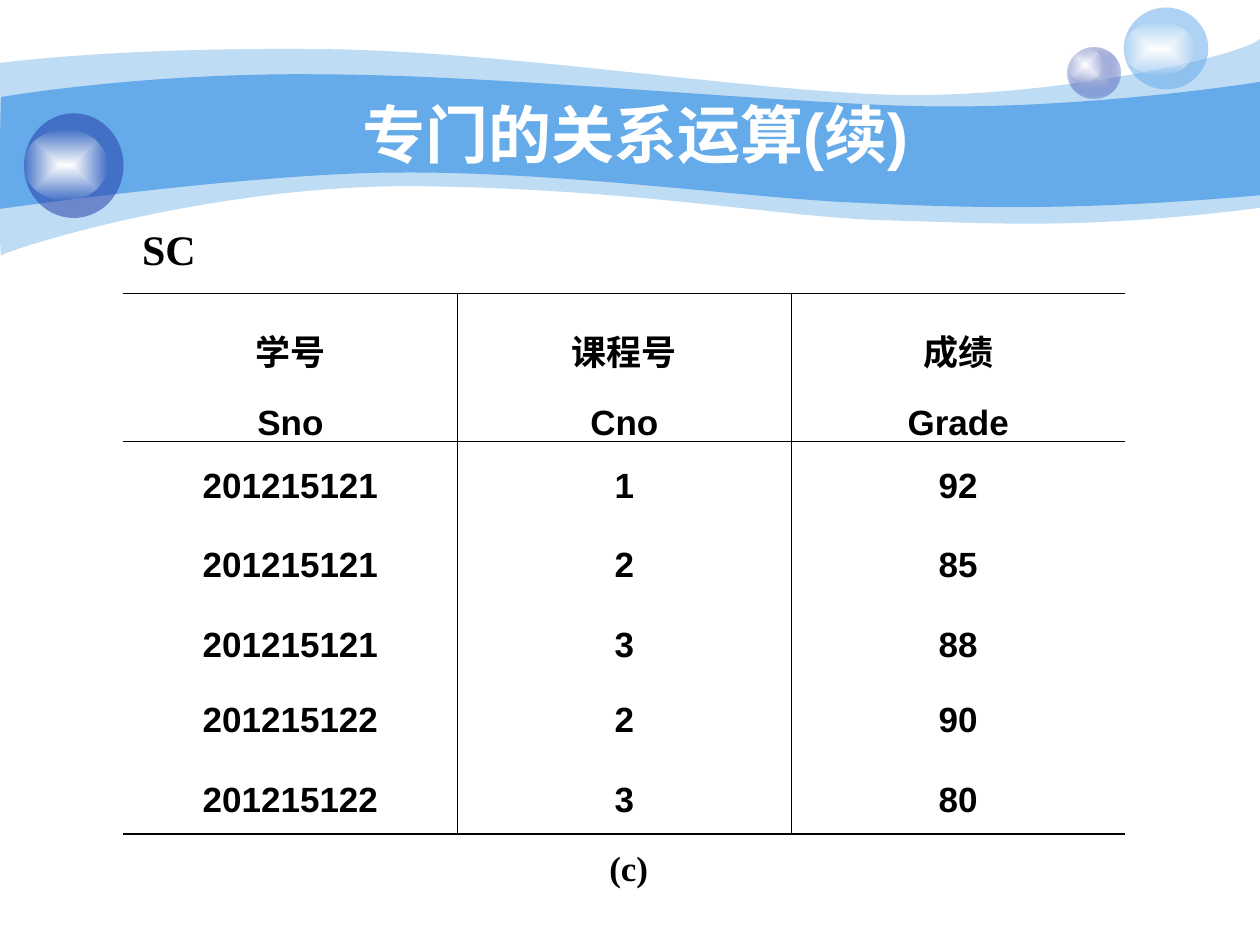
from dataclasses import dataclass

from lxml import etree
from pptx import Presentation
from pptx import util as u
from pptx.dml.color import RGBColor
from pptx.enum import shapes, text
from pptx.oxml import ns


@dataclass(frozen=True)
class Theme:
    sky: str = "65AAE9"
    navy: str = "233DA9"
    haze: str = "C7CEE9"
    white: str = "FFFFFF"
    ink: str = "000000"
    sans: str = "Arial"
    serif: str = "Times New Roman"
    title: int = 36
    label: int = 24
    body: int = 20
    thin: float = 0.45
    thick: float = 1.08


THEME = Theme()
WIDTH, HEIGHT = 10, 7.5
TITLE = "专门的关系运算(续)"
HEADERS = [("学号", "Sno"), ("课程号", "Cno"), ("成绩", "Grade")]
RECORDS = [
    ("201215121", "1", "92"),
    ("201215121", "2", "85"),
    ("201215121", "3", "88"),
    ("201215122", "2", "90"),
    ("201215122", "3", "80"),
]
ROW_HEIGHTS = [1.17, 0.63, 0.63, 0.6, 0.63, 0.63]
TABLE_BOX = (0.98, 2.33, 7.95, sum(ROW_HEIGHTS))

WAVES = [
    (41, [
        (0, 0.5),
        (0.24, 0.47, 1.07, 0.38, 2.47, 0.39),
        (3.86, 0.39, 5.75, 0.7, 6.99, 0.75),
        (8.22, 0.8, 9.8, 0.47, 10, 0.31),
        (10, 1.65),
        (8.58, 1.83, 7.87, 1.77, 7.05, 1.75),
        (6.22, 1.73, 5.15, 1.51, 3.43, 1.48),
        (1.72, 1.44, 0.04, 1.99, 0.01, 2.03),
        (-0.01, 2.08, 0, 0.75, 0, 0.5),
    ]),
    (100, [
        (0.01, 0.77),
        (0.02, 0.77, 1.1, 0.58, 2.48, 0.59),
        (3.86, 0.59, 5.95, 0.8, 7.18, 0.84),
        (8.41, 0.88, 9.76, 0.69, 10, 0.65),
        (10, 1.55),
        (8.53, 1.68, 7.65, 1.65, 6.82, 1.61),
        (5.99, 1.58, 4.47, 1.36, 3.17, 1.37),
        (2.03, 1.37, -0.02, 1.66, -0.01, 1.66),
        (0, 1.66, 0, 0.77, 0.01, 0.77),
    ]),
]
SHINE = [(0, THEME.white, 100), (100, THEME.white, 0)]
BUBBLES = [
    ((8.47, 0.38, 0.42, 0.4), [(0, THEME.haze, 100), (100, THEME.navy, 31)]),
    ((8.47, 0.38, 0.28, 0.27), SHINE),
    ((8.92, 0.06, 0.67, 0.65), [(0, THEME.sky, 53)]),
    ((8.92, 0.17, 0.56, 0.43), SHINE),
    ((0.19, 0.9, 0.79, 0.83), [(0, THEME.navy, 53)]),
    ((0.19, 1.03, 0.66, 0.56), SHINE),
]


def inches(values):
    return [u.Inches(value) for value in values]


def child(parent, tag, **attributes):
    return etree.SubElement(parent, ns.qn(tag), {k: str(v) for k, v in attributes.items()})


def add_color(parent, color, opacity=100):
    node = child(parent, "a:srgbClr", val=color)
    if opacity < 100:
        child(node, "a:alpha", val=opacity * 1000)


def paint(shape, stops):
    shape.shadow.inherit = False
    shape.line.fill.background()
    if len(stops) == 1:
        shape.fill.solid()
        fill = shape.element.spPr.find(ns.qn("a:solidFill"))
        add_color(fill, *stops[0][1:])
        return
    shape.fill.gradient()
    fill = shape.element.spPr.find(ns.qn("a:gradFill"))
    for node in list(fill):
        fill.remove(node)
    stop_list = child(fill, "a:gsLst")
    for position, color, opacity in stops:
        add_color(child(stop_list, "a:gs", pos=position * 1000), color, opacity)
    center = child(fill, "a:path", path="rect")
    child(center, "a:fillToRect", l=50000, t=50000, r=50000, b=50000)


def add_wave(page, opacity, segments):
    points = [tuple(inches(segment[i:i + 2]))
              for segment in segments for i in range(0, len(segment), 2)]
    builder = page.shapes.build_freeform(*points[0], scale=1.0)
    builder.add_line_segments(points[1:], close=True)
    wave = builder.convert_to_shape()
    lines = iter(list(wave.element.iter(ns.qn("a:lnTo"))))
    for segment in segments[1:]:
        group = [next(lines) for _ in range(len(segment) // 2)]
        if len(group) == 3:
            curve = etree.Element(ns.qn("a:cubicBezTo"))
            group[0].addprevious(curve)
            for line in group:
                curve.append(line[0])
                line.getparent().remove(line)
    paint(wave, [(0, THEME.sky, opacity)])


def write(frame, lines, size=THEME.body, font=THEME.sans, color=THEME.ink,
          spacing=None, gap=0):
    for index, line in enumerate(lines):
        para = frame.paragraphs[0] if index == 0 else frame.add_paragraph()
        para.alignment = text.PP_ALIGN.CENTER
        if spacing:
            para.line_spacing = spacing
        if index:
            para.space_before = u.Pt(gap)
        span = para.add_run()
        span.text = line
        span.font.size, span.font.name, span.font.bold = u.Pt(size), font, True
        span.font.color.rgb = RGBColor.from_string(color)


def add_label(page, words, area, size, wrap, anchor):
    box = page.shapes.add_textbox(*inches(area))
    box.text_frame.word_wrap = wrap
    box.text_frame.vertical_anchor = anchor
    write(box.text_frame, [words], size=size, font=THEME.serif)


def set_borders(cell, widths):
    properties = cell._tc.get_or_add_tcPr()
    for index, (side, width) in enumerate(zip("LRTB", widths)):
        line = child(properties, f"a:ln{side}", w=u.Pt(width))
        if width:
            add_color(child(line, "a:solidFill"), THEME.ink)
        else:
            child(line, "a:noFill")
        properties.insert(index, line)


def add_grades(page):
    rows = [HEADERS] + [[(value,) for value in record] for record in RECORDS]
    last_row, last_column = len(rows) - 1, len(HEADERS) - 1
    table = page.shapes.add_table(len(rows), len(HEADERS), *inches(TABLE_BOX)).table
    table.first_row = table.horz_banding = False
    for column in table.columns:
        column.width = u.Inches(TABLE_BOX[2] / len(HEADERS))
    for r, values in enumerate(rows):
        table.rows[r].height = u.Inches(ROW_HEIGHTS[r])
        top = {0: THEME.thick, 1: THEME.thin}.get(r, 0)
        bottom = {0: THEME.thin, last_row: THEME.thick}.get(r, 0)
        for c, lines in enumerate(values):
            cell = table.cell(r, c)
            cell.fill.background()
            left = THEME.thin if c else 0
            right = THEME.thin if c < last_column else 0
            set_borders(cell, (left, right, top, bottom))
            write(cell.text_frame, lines, spacing=1.5, gap=5)


def main():
    deck = Presentation()
    deck.slide_width, deck.slide_height = inches((WIDTH, HEIGHT))
    page = deck.slides.add_slide(deck.slide_layouts[5])
    for opacity, segments in WAVES:
        add_wave(page, opacity, segments)
    for area, stops in BUBBLES:
        paint(page.shapes.add_shape(shapes.MSO_SHAPE.OVAL, *inches(area)), stops)
    title = page.shapes.title
    title.left, title.top, title.width, title.height = inches((1, 0.75, 8.08, 0.62))
    title.text_frame.vertical_anchor = text.MSO_ANCHOR.MIDDLE
    write(title.text_frame, [TITLE], size=THEME.title, color=THEME.white)
    title.element.getparent().append(title.element)
    add_label(page, "(c)", (4.53, 6.67, 0.92, 0.77), THEME.body, True, text.MSO_ANCHOR.TOP)
    add_label(page, "SC", (0.75, 1.7, 1.18, 0.55), THEME.label, False, text.MSO_ANCHOR.MIDDLE)
    add_grades(page)
    deck.save("out.pptx")


if __name__ == "__main__":
    main()
